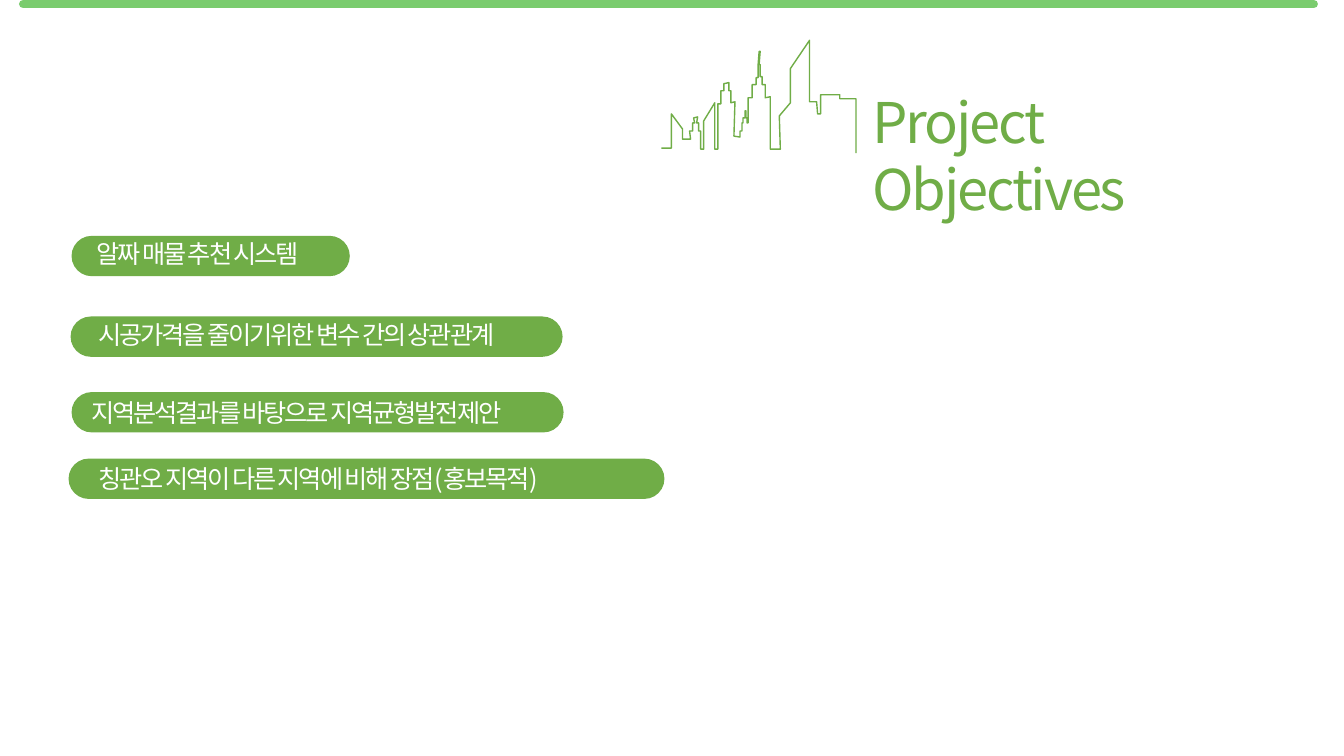
from collections import namedtuple

from lxml import etree
from pptx import Presentation
from pptx.dml import color
from pptx.enum import shapes, text
from pptx.oxml import ns
from pptx.util import Inches, Pt

Box = namedtuple("Box", "left top width height")
CELL = Inches(0.01)
COLUMNS, ROWS = 1333, 750
GREEN, BAR_GREEN, WHITE = "70AD47", "7ACC6E", "FFFFFF"
TITLE_FONT, LABEL_FONT = "Noto Sans CJK TC", "Noto Sans CJK KR"
PILL_HEIGHT = 40

SKYLINE = [
    (0, 107), (10, 107), (10, 73), (21, 88), (21, 98), (29, 98), (28, 90),
    (31, 90), (31, 82), (33, 82), (32, 77), (36, 76), (35, 82), (37, 82),
    (37, 90), (39, 90), (39, 108), (42, 108), (42, 80), (53, 62), (53, 108),
    (56, 108), (56, 63), (59, 63), (59, 50), (62, 50), (62, 43), (67, 42),
    (67, 50), (69, 50), (69, 62), (73, 61), (72, 95), (78, 96), (78, 90),
    (80, 90), (80, 82), (81, 82), (81, 77), (83, 77), (83, 70), (84, 70),
    (84, 77), (85, 77), (85, 82), (86, 82), (86, 57), (90, 57), (90, 44),
    (94, 44), (94, 37), (96, 37), (96, 24), (97, 11), (98, 11), (97, 24),
    (98, 24), (98, 36), (100, 36), (100, 44), (103, 44), (103, 57),
    (108, 56), (108, 108), (118, 108), (117, 75), (128, 62), (128, 28),
    (147, 0), (147, 61), (154, 61), (155, 73), (158, 73), (158, 54),
    (177, 54), (177, 58), (193, 58), (193, 112),
]

OBJECTIVES = [
    ("알짜 매물 추천 시스템", Box(71, 234, 276, PILL_HEIGHT), Box(15, -2, 247, 40)),
    ("시공가격을 줄이기위한 변수 간의 상관관계",
     Box(70, 314, 488, PILL_HEIGHT), Box(18, -2, 462, 40)),
    ("지역분석결과를 바탕으로 지역균형발전제안",
     Box(71, 389, 488, PILL_HEIGHT), Box(10, 0, 472, 40)),
    ("칭관오 지역이 다른 지역에 비해 장점(홍보목적)",
     Box(68, 455, 591, PILL_HEIGHT), Box(20, 0, 506, 40)),
]


def rgb(value):
    """Turn a hex string into a colour."""
    return color.RGBColor.from_string(value)


def cells(box):
    """Turn a box in grid cells into slide lengths."""
    return [value * CELL for value in box]


def apply(target, values):
    """Set each attribute named in a dict of format values."""
    for name, value in values.items():
        setattr(target, name, value)


def write(shape, words, size, font, hue):
    """Write one left-aligned, tightly tracked line of text in a shape."""
    frame = shape.text_frame
    apply(frame, {"word_wrap": True, "auto_size": text.MSO_AUTO_SIZE.NONE,
                  "vertical_anchor": text.MSO_ANCHOR.TOP})
    para = frame.paragraphs[0]
    para.alignment = text.PP_ALIGN.LEFT
    span = para.add_run()
    span.text = words
    apply(span.font, {"size": Pt(size), "name": font, "bold": False})
    span.font.color.rgb = rgb(hue)
    properties = span.font._element
    properties.set("spc", "-150")
    east_asian = etree.SubElement(properties, ns.qn("a:ea"))
    east_asian.set("typeface", font)


def add_top_bar(page, box):
    """Draw the round-ended bar along the middle of its box."""
    middle = box.top + box.height / 2
    ends = (box.left, middle, box.left + box.width, middle)
    bar = page.shapes.add_connector(
        shapes.MSO_CONNECTOR.STRAIGHT, *[int(end * CELL) for end in ends])
    bar.line.width = Pt(6)
    bar.line.color.rgb = rgb(BAR_GREEN)
    bar.line._ln.set("cap", "rnd")
    etree.SubElement(bar._element.spPr, ns.qn("a:effectLst"))


def add_skyline(page, box):
    """Draw the city outline from the top left of its box."""
    points = [(box.left + x, box.top + y) for x, y in SKYLINE]
    builder = page.shapes.build_freeform(*points[0], scale=CELL)
    builder.add_line_segments(points[1:], close=False)
    city = builder.convert_to_shape()
    city.shadow.inherit = False
    city.fill.background()
    city.line.width = Pt(1)
    city.line.color.rgb = rgb(GREEN)


def add_title(page, box):
    """Place the heading in the title placeholder."""
    title = page.shapes.title
    apply(title, dict(zip(box._fields, cells(box))))
    write(title, "Project Objectives", 40, TITLE_FONT, GREEN)


def add_objective(page, words, box, label):
    """Draw a pill and its label, offset from the pill's corner."""
    pill = page.shapes.add_shape(
        shapes.MSO_SHAPE.ROUNDED_RECTANGLE, *cells(box))
    pill.adjustments[0] = 0.5
    pill.shadow.inherit = False
    pill.fill.solid()
    pill.fill.fore_color.rgb = rgb(GREEN)
    pill.line.fill.background()
    spot = label._replace(left=box.left + label.left, top=box.top + label.top)
    write(page.shapes.add_textbox(*cells(spot)), words, 18, LABEL_FONT, WHITE)


def main():
    """Build and save the slide."""
    deck = Presentation()
    apply(deck, {"slide_width": COLUMNS * CELL, "slide_height": ROWS * CELL})
    page = deck.slides.add_slide(deck.slide_layouts[5])
    add_top_bar(page, Box(23, 0, 1280, 8))
    add_skyline(page, Box(656, 40, 193, 112))
    add_title(page, Box(855, 82, 434, 77))
    for objective in OBJECTIVES:
        add_objective(page, *objective)
    deck.save("out.pptx")


main()
